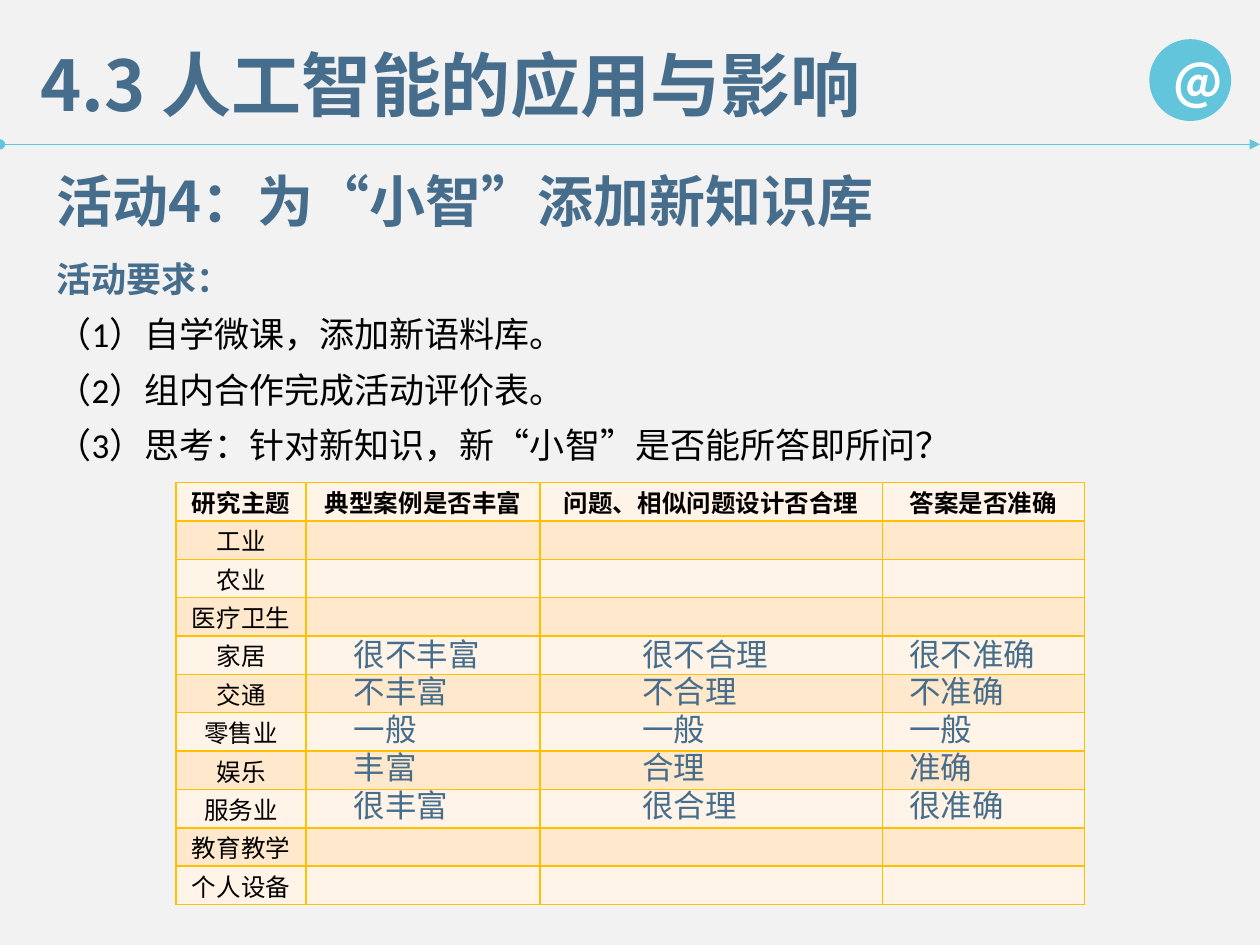
from lxml import etree
from pptx import Presentation
from pptx import util as u
from pptx.dml.color import RGBColor
from pptx.enum import shapes, text
from pptx.oxml import parse_xml
from pptx.oxml.ns import nsdecls, qn

COLORS = {
    "page": "F2F2F2", "accent": "62C5DC", "heading": "466E8C",
    "outline": "4472C4", "black": "000000", "white": "FFFFFF",
    "border": "FFC000", "light": "FFF4E7", "band": "FFE8CC",
}
CJK, LATIN = "Noto Sans CJK SC", "Calibri"
REQUIREMENTS = [
    "活动要求：",
    "（1）自学微课，添加新语料库。",
    "（2）组内合作完成活动评价表。",
    "（3）思考：针对新知识，新“小智”是否能所答即所问？",
]
HEADERS = ["研究主题", "典型案例是否丰富", "问题、相似问题设计否合理", "答案是否准确"]
TOPICS = ["工业", "农业", "医疗卫生", "家居", "交通", "零售业", "娱乐",
          "服务业", "教育教学", "个人设备"]
RATINGS = [(6.88, "丰富"), (12.7, "合理"), (18.08, "准确")]


def rgb(name):
    return RGBColor.from_string(COLORS[name])


class SlideBuilder:
    """Holds the shared style and the slide being built."""

    def __init__(self, deck):
        self.page = deck.slides.add_slide(deck.slide_layouts[6])
        fill = self.page.background.fill
        fill.solid()
        fill.fore_color.rgb = rgb("page")

    def style(self, para, size, color, bold=False, name=CJK):
        font = para.font
        font.size, font.bold, font.name = u.Pt(size), bold, name
        font.color.rgb = rgb(color)
        if name == CJK:
            para.line_spacing = u.Pt(size * 1.2)
            latin = para._p.pPr.find(qn("a:defRPr")).find(qn("a:latin"))
            latin.addnext(parse_xml(
                f'<a:ea {nsdecls("a")} typeface="{name}"/>'))

    def outline(self, para):
        """Give the letters a thin outline."""
        para._p.pPr.find(qn("a:defRPr")).insert(0, parse_xml(
            f'<a:ln {nsdecls("a")} w="{u.Pt(0.8)}"><a:solidFill>'
            f'<a:srgbClr val="{COLORS["outline"]}"/></a:solidFill></a:ln>'))

    def text_box(self, left, top, width, height, lines, wrap=True):
        box = self.page.shapes.add_textbox(
            u.Cm(left), u.Cm(top), u.Cm(width), u.Cm(height))
        frame = box.text_frame
        frame.word_wrap = wrap
        frame.text = "\n".join(lines)
        return frame.paragraphs

    def heading(self, left, top, width, height, words, size):
        para, = self.text_box(left, top, width, height, [words])
        self.style(para, size, "heading", bold=True)

    def requirements(self, left, top, width, height, lines):
        paras = self.text_box(left, top, width, height, lines)
        for i, para in enumerate(paras):
            para.line_spacing = 0.9
            para.space_before = u.Pt(10 if i else 0)
            self.style(para, 20, "black" if i else "heading",
                       bold=i == 0, name=LATIN)

    def rating_list(self, left, top, quality):
        lines = [f"很不{quality}", f"不{quality}", "一般", quality, f"很{quality}"]
        for para in self.text_box(left, top, 3.05, 4.1, lines, wrap=False):
            self.style(para, 18, "heading")
            self.outline(para)

    def rule(self, top, width):
        line = self.page.shapes.add_connector(
            shapes.MSO_CONNECTOR.STRAIGHT, 0, u.Cm(top), u.Cm(width), u.Cm(top))
        line.line.color.rgb = rgb("accent")
        line.line.width = u.Pt(0.5)
        stroke = line.line._get_or_add_ln()
        etree.SubElement(stroke, qn("a:headEnd"), type="oval")
        etree.SubElement(stroke, qn("a:tailEnd"), type="triangle")
        etree.SubElement(line._element.spPr, qn("a:effectLst"))

    def badge(self, left, top, size, symbol):
        disc = self.page.shapes.add_shape(
            shapes.MSO_SHAPE.OVAL, u.Cm(left), u.Cm(top), u.Cm(size), u.Cm(size))
        disc.shadow.inherit = False
        disc.fill.solid()
        disc.fill.fore_color.rgb = rgb("accent")
        disc.line.fill.background()
        frame = disc.text_frame
        frame.text, frame.word_wrap = symbol, True
        frame.vertical_anchor = text.MSO_ANCHOR.MIDDLE
        para = frame.paragraphs[0]
        para.alignment = text.PP_ALIGN.CENTER
        self.style(para, 28, "white", bold=True)

    def cell(self, cell, words, fill, bold):
        props = cell._tc.get_or_add_tcPr()
        for side in ("lnL", "lnR", "lnT", "lnB"):
            props.append(parse_xml(
                f'<a:{side} {nsdecls("a")} w="{u.Pt(1)}"><a:solidFill>'
                f'<a:srgbClr val="{COLORS["border"]}"/></a:solidFill></a:{side}>'))
        cell.fill.solid()
        cell.fill.fore_color.rgb = rgb(fill)
        cell.margin_left = cell.margin_right = u.Cm(0.18)
        cell.margin_top = cell.margin_bottom = 0
        cell.vertical_anchor = text.MSO_ANCHOR.MIDDLE
        cell.text = words
        para = cell.text_frame.paragraphs[0]
        para.alignment = text.PP_ALIGN.CENTER
        self.style(para, 14, "black", bold, LATIN)

    def table(self, left, top, height, widths, rows):
        grid = self.page.shapes.add_table(
            len(rows), len(widths), u.Cm(left), u.Cm(top),
            u.Cm(sum(widths)), u.Cm(height)).table
        for column, width in zip(grid.columns, widths):
            column.width = u.Cm(width)
        for r, row in enumerate(rows):
            grid.rows[r].height = u.Cm(height / len(rows))
            for c, words in enumerate(row):
                self.cell(grid.cell(r, c), words,
                          "band" if r % 2 else "light", bold=r == 0)


def main():
    deck = Presentation()
    deck.slide_width, deck.slide_height = u.Cm(25.4), u.Cm(19.05)
    slide = SlideBuilder(deck)
    slide.rule(2.91, 25.4)
    slide.badge(23.17, 0.79, 1.65, "@")
    slide.heading(0.89, 3.23, 18.52, 1.63, "活动4：为“小智”添加新知识库", 32)
    slide.requirements(0.89, 5.16, 18.8, 4.9, REQUIREMENTS)
    rows = [HEADERS] + [[topic, "", "", ""] for topic in TOPICS]
    slide.table(3.55, 9.73, 8.51, [2.62, 4.72, 6.9, 4.07], rows)
    for left, quality in RATINGS:
        slide.rating_list(left, 12.67, quality)
    slide.heading(0.56, 0.71, 17.65, 1.96, "4.3 人工智能的应用与影响", 40)
    deck.save("out.pptx")


if __name__ == "__main__":
    main()
